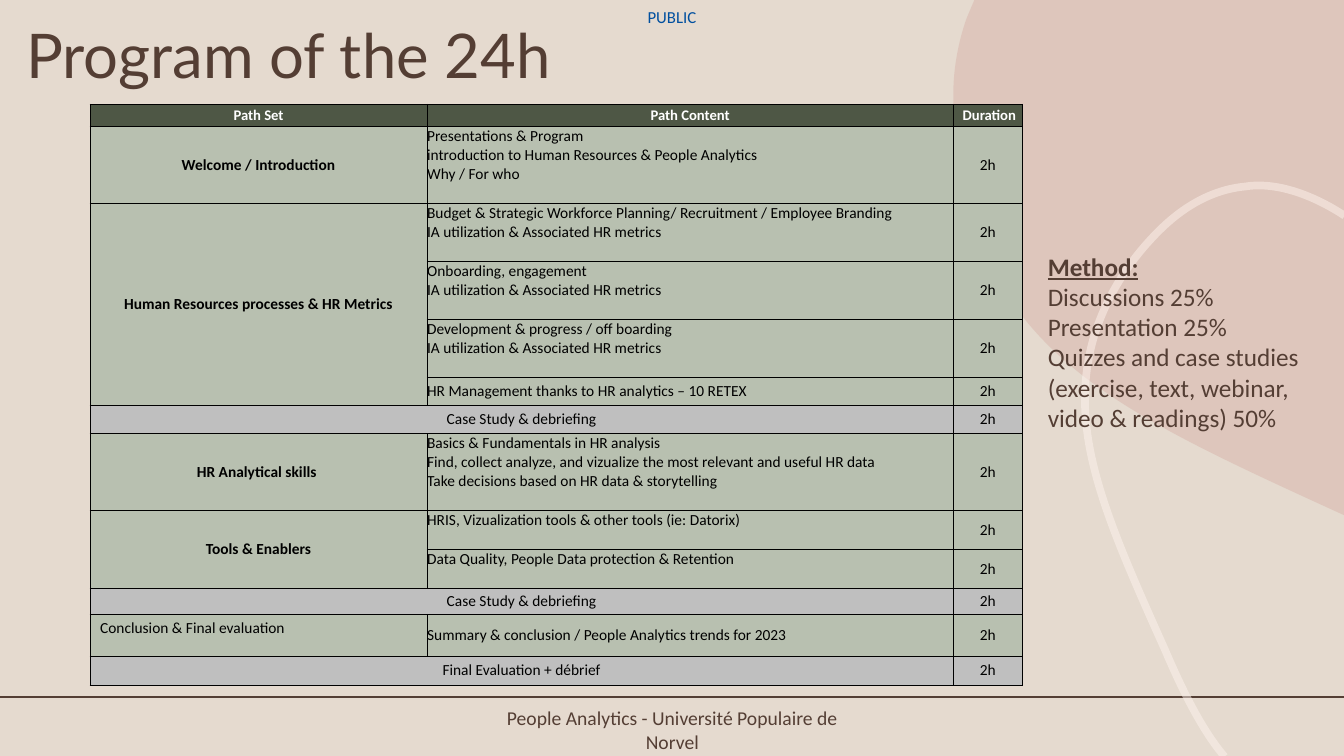
from dataclasses import dataclass

from lxml.etree import SubElement
from pptx import Presentation
from pptx.dml.color import RGBColor
from pptx.enum.shapes import MSO_CONNECTOR
from pptx.enum.text import MSO_ANCHOR, MSO_AUTO_SIZE, PP_ALIGN
from pptx.oxml.ns import qn
from pptx.util import Pt


@dataclass(frozen=True)
class Theme:
    heading_font: str = "Lato"
    body_font: str = "Calibri"
    background: str = "E5DACF"
    brown: str = "543E34"
    blue: str = "004F9F"
    blush: str = "CF9B92"
    cream: str = "FEF3ED"
    black: str = "000000"
    white: str = "FFFFFF"
    header_green: str = "4E5745"
    sage: str = "B8C0B0"
    grey: str = "BFBFBF"
    title_size: float = 44
    method_size: float = 18
    footer_size: float = 14
    label_size: float = 12
    cell_size: float = 11
    header_size: float = 10.5


theme = Theme()


def format_paragraph(paragraph, size, color, alignment=PP_ALIGN.LEFT, bold=False, font=theme.body_font):
    paragraph.alignment = alignment
    paragraph.font.name = font
    paragraph.font.size = Pt(size)
    paragraph.font.bold = bold
    paragraph.font.color.rgb = RGBColor.from_string(color)


def add_curved_outline(slide, corners, curve_points, left, closed):
    """Join straight corners, then cubic curves of three points each; left is the visible edge."""
    outline = [(Pt(x), Pt(y)) for x, y in corners + curve_points]
    builder = slide.shapes.build_freeform(*outline[0])
    builder.add_line_segments(outline[1:], close=closed)
    shape = builder.convert_to_shape()
    shape.shadow.inherit = False
    path = next(shape.element.iter(qn("a:path")))
    segments = path.findall(qn("a:lnTo"))[len(corners) - 1:]
    for start in range(0, len(segments), 3):
        curve = path.makeelement(qn("a:cubicBezTo"))
        segments[start].addprevious(curve)
        for segment in segments[start:start + 3]:
            curve.append(segment[0])
            path.remove(segment)
    # Control points may reach past the visible edge
    overhang = Pt(left) - shape.left
    for point in path.iter(qn("a:pt")):
        point.set("x", str(int(point.get("x")) - overhang))
    path.set("w", str(int(path.get("w")) - overhang))
    shape.left, shape.width = Pt(left), shape.width - overhang
    return shape


presentation = Presentation()
presentation.slide_width, presentation.slide_height = Pt(960), Pt(540)
slide = presentation.slides.add_slide(presentation.slide_layouts[1])
slide.background.fill.solid()
slide.background.fill.fore_color.rgb = RGBColor.from_string(theme.background)

# Background decoration
footer_rule = slide.shapes.add_connector(MSO_CONNECTOR.STRAIGHT, 0, Pt(498), Pt(960), Pt(498))
footer_rule.line.color.rgb = RGBColor.from_string(theme.brown)
footer_rule.line.width = Pt(1.25)
SubElement(footer_rule.element.spPr, qn("a:effectLst"))

blob = add_curved_outline(slide, [(696, 0), (960, 0), (960, 368), (941, 359.3)], [
    (818, 303), (743, 265.7), (704.2, 183.6),
    (682.6, 139), (680.4, 97.2), (681.1, 72.7),
    (680.4, 56.9), (682.6, 35.3), (690.5, 13),
], left=680.8, closed=True)
blob.fill.solid()
blob.fill.fore_color.rgb = RGBColor.from_string(theme.blush)
blob.line.fill.background()

ribbon = add_curved_outline(slide, [(874.8, 540.5)], [
    (862.6, 526.3), (848.9, 503.3), (832.3, 464.4),
    (787.7, 365), (761.8, 305.3), (781.9, 239),
    (792.7, 205.2), (811.4, 182.2), (823.7, 169.2),
    (835.9, 156.2), (858.2, 136.1), (889.9, 133.2),
    (893.5, 132.5), (897.1, 132.5), (901.4, 132.5),
    (920.9, 133.2), (941.8, 141.8), (960.5, 154.1),
], left=775.4, closed=False)
ribbon.fill.background()
ribbon.line.color.rgb = RGBColor.from_string(theme.cream)
ribbon.line.width = Pt(5.5)

for shape, opacity in ((blob, 30), (ribbon, 50)):
    for color in shape.element.iter(qn("a:srgbClr")):
        SubElement(color, qn("a:alpha"), val=str(opacity * 1000))

# Title, page label and footer
title = slide.shapes.title
title.left, title.top, title.width, title.height = Pt(11.5), Pt(15), Pt(828), Pt(53.5)
title.text_frame.text = "Program of the 24h"
title.text_frame.auto_size = MSO_AUTO_SIZE.NONE
title.text_frame.vertical_anchor = MSO_ANCHOR.MIDDLE
title.text_frame.paragraphs[0].line_spacing = 0.9
format_paragraph(title.text_frame.paragraphs[0], theme.title_size, theme.brown, font=theme.heading_font)

for text, left, top, width, height, inset, size, color in (
    ("PUBLIC", 450.5, 0.7, 59, 23, 0, theme.label_size, theme.blue),
    ("People Analytics - Université Populaire de Norvel", 345, 509, 270.5, 24.5, 7.2,
     theme.footer_size, theme.brown),
):
    frame = slide.shapes.add_textbox(Pt(left), Pt(top), Pt(width), Pt(height)).text_frame
    frame.word_wrap = True
    frame.margin_left = frame.margin_right = Pt(inset)
    frame.margin_top = frame.margin_bottom = Pt(inset / 2)
    frame.vertical_anchor = MSO_ANCHOR.MIDDLE
    frame.text = text
    format_paragraph(frame.paragraphs[0], size, color, PP_ALIGN.CENTER)

# Program table: path set, path content, duration, row height
HR_METRICS = "IA utilization & Associated HR metrics"
CASE_STUDY = "Case Study & debriefing"
CONCLUSION = "Conclusion & Final evaluation"
FINAL = "Final Evaluation + débrief"
program = [
    ("Path Set", "Path Content", " Duration", 16),
    ("Welcome / Introduction",
     "Presentations & Program\nintroduction to Human Resources & People Analytics\nWhy / For who", "2h", 55.1),
    ("Human Resources processes & HR Metrics",
     "Budget & Strategic Workforce Planning/ Recruitment / Employee Branding\n" + HR_METRICS, "2h", 41.4),
    ("", "Onboarding, engagement\n" + HR_METRICS, "2h", 41.4),
    ("", "Development & progress / off boarding\n" + HR_METRICS, "2h", 41.4),
    ("", "HR Management thanks to HR analytics – 10 RETEX", "2h", 20),
    (CASE_STUDY, "", "2h", 20),
    ("HR Analytical skills ",
     "Basics & Fundamentals in HR analysis\n"
     "Find, collect analyze, and vizualize the most relevant and useful HR data\n"
     "Take decisions based on HR data & storytelling", "2h", 55.1),
    ("Tools & Enablers", "HRIS, Vizualization tools & other tools (ie: Datorix)", "2h", 27.7),
    ("", "Data Quality, People Data protection & Retention", "2h", 27.7),
    (CASE_STUDY, "", "2h", 18.6),
    (CONCLUSION, "Summary & conclusion / People Analytics trends for 2023", "2h", 30),
    (FINAL, "", "2h", 20.8),
]
top_aligned_rows = (1, 2, 3, 4, 7, 8, 9)
table = slide.shapes.add_table(len(program), 3, Pt(64.3), Pt(74.4), Pt(666), Pt(415.2)).table
for column, width in zip(table.columns, (240.8, 375.8, 49.4)):
    column.width = Pt(width)

for row_index, (*texts, height) in enumerate(program):
    table.rows[row_index].height = Pt(height)
    is_header = row_index == 0
    is_full_width = not texts[1]
    fill = theme.header_green if is_header else theme.grey if is_full_width else theme.sage
    for column_index, text in enumerate(texts):
        cell = table.cell(row_index, column_index)
        cell.text = text
        is_content = column_index == 1 and not is_header
        is_padded = text in (CONCLUSION, FINAL)
        cell.margin_left = cell.margin_right = Pt(7.2 if is_padded else 0)
        cell.margin_top = cell.margin_bottom = Pt(3.6 if is_padded else 0)
        at_top = is_padded or (is_content and row_index in top_aligned_rows)
        cell.vertical_anchor = MSO_ANCHOR.TOP if at_top else MSO_ANCHOR.MIDDLE
        is_bold = is_header or (column_index == 0 and not is_full_width and text != CONCLUSION)
        for paragraph in cell.text_frame.paragraphs:
            format_paragraph(
                paragraph,
                theme.header_size if is_header else theme.cell_size,
                theme.white if is_header else theme.black,
                PP_ALIGN.LEFT if is_content or text == CONCLUSION else PP_ALIGN.CENTER,
                is_bold,
            )
        properties = cell._tc.get_or_add_tcPr()
        for side in ("a:lnL", "a:lnR", "a:lnT", "a:lnB"):
            border = SubElement(properties, qn(side), w=str(Pt(0.5)))
            SubElement(SubElement(border, qn("a:solidFill")), qn("a:srgbClr"), val=theme.black)
        cell.fill.solid()
        cell.fill.fore_color.rgb = RGBColor.from_string(fill)
    if is_full_width:
        table.cell(row_index, 0).merge(table.cell(row_index, 1))
for first_row, last_row in ((2, 5), (8, 9)):
    table.cell(first_row, 0).merge(table.cell(last_row, 0))

# Method list
method = slide.placeholders[1]
method.left, method.top, method.width, method.height = Pt(741.2), Pt(175.7), Pt(211), Pt(138)
method.text_frame.auto_size = MSO_AUTO_SIZE.NONE
paragraph = method.text_frame.paragraphs[0]
paragraph.text = (
    "Method:\vDiscussions 25%\vPresentation 25%\v"
    "Quizzes and case studies (exercise, text, webinar, video & readings) 50%"
)
format_paragraph(paragraph, theme.method_size, theme.brown)
paragraph.space_before = Pt(0)
paragraph.runs[0].font.bold = True
paragraph.runs[0].font.underline = True
properties = paragraph._p.get_or_add_pPr()
properties.set("marL", "0")
properties.set("indent", "0")
properties.insert_element_before(properties.makeelement(qn("a:buNone")), "a:tabLst", "a:defRPr")

# Placeholders in front of the decoration
for placeholder in (title, method):
    placeholder.element.getparent().append(placeholder.element)

presentation.save("out.pptx")
